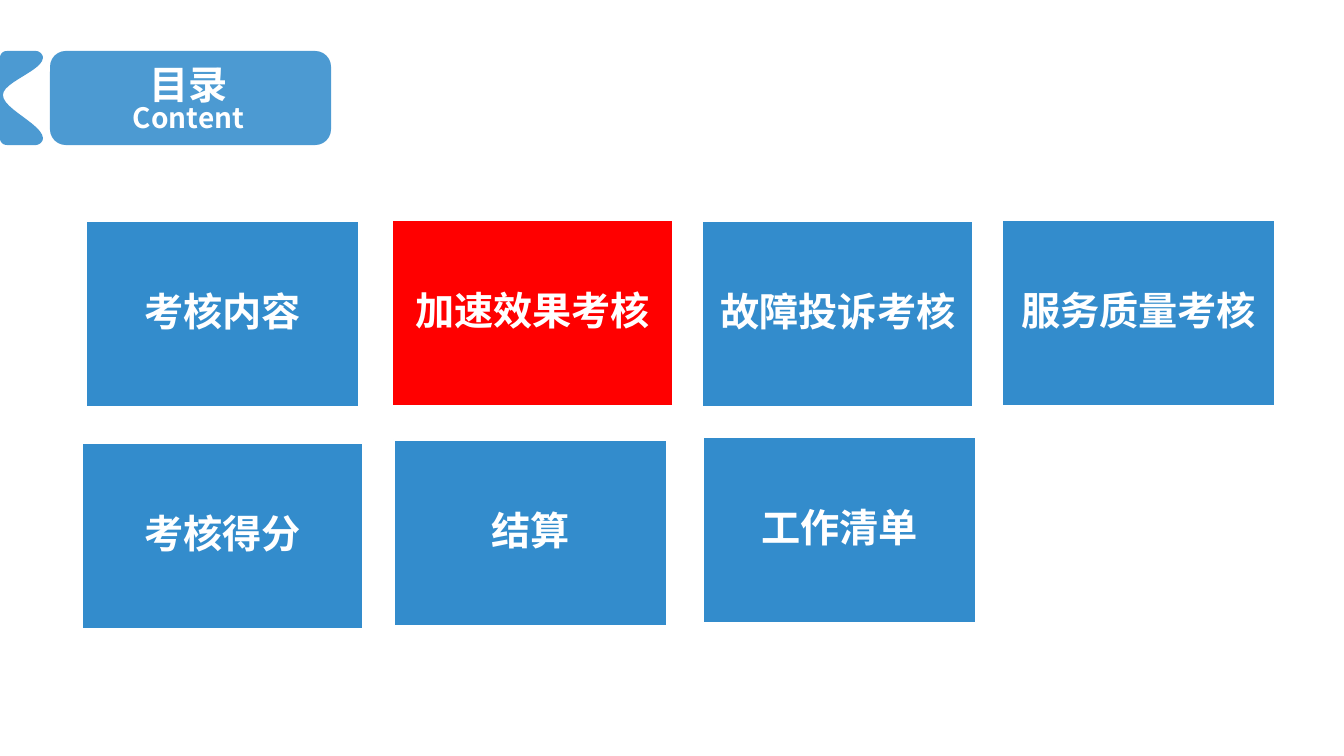
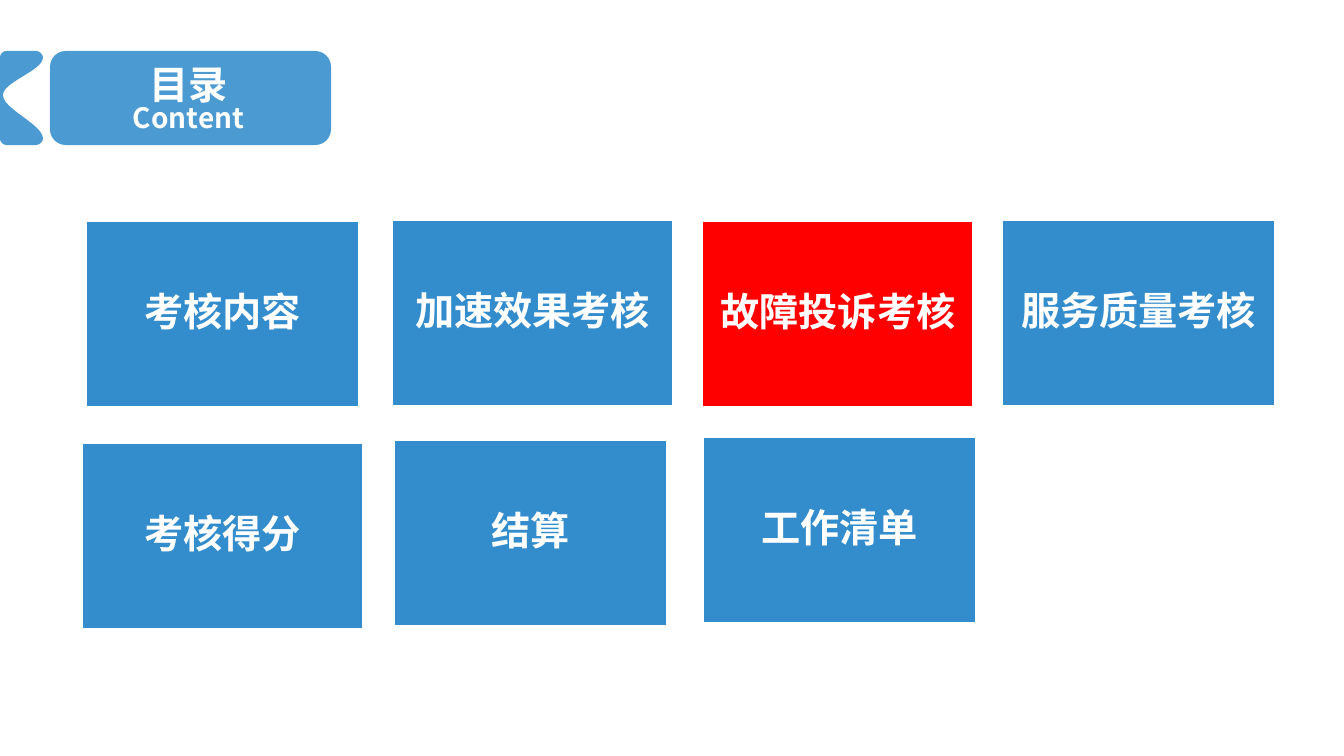
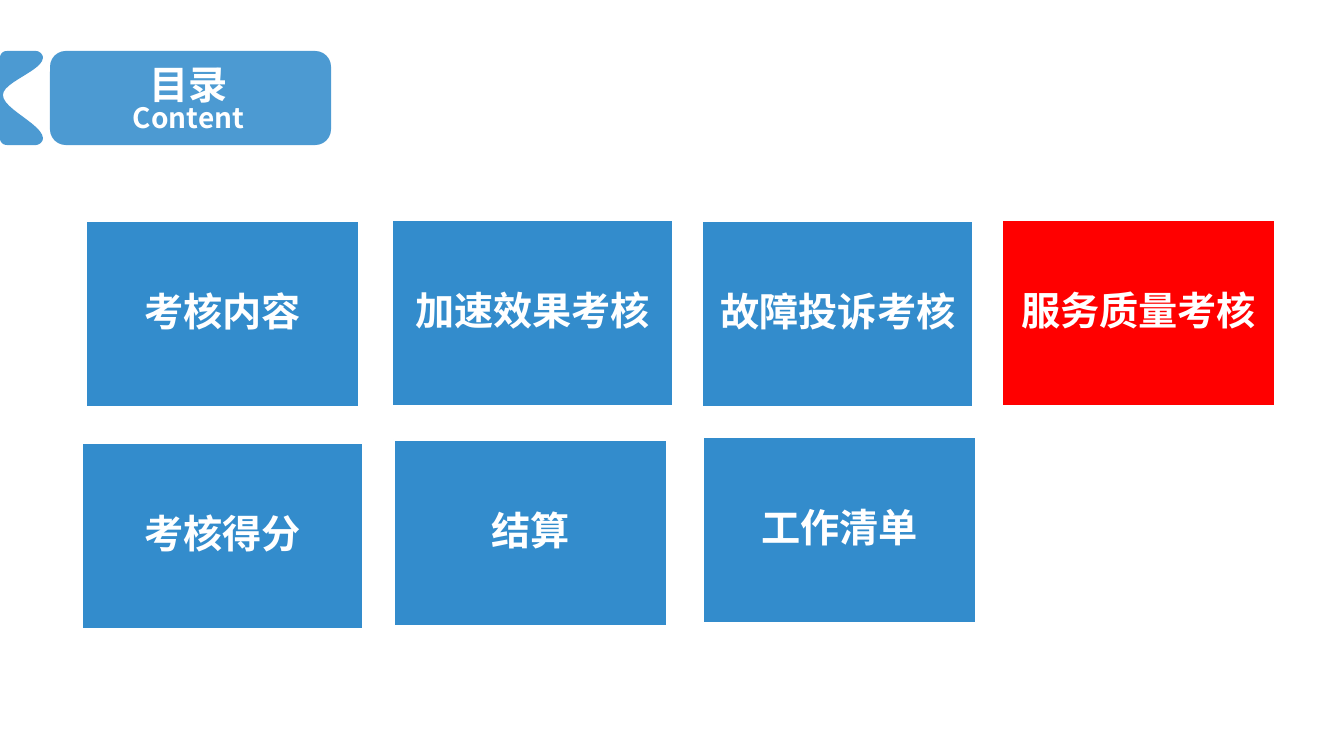
from lxml.etree import SubElement
from pptx import Presentation
from pptx.dml.color import RGBColor
from pptx.enum.shapes import MSO_SHAPE as Preset
from pptx.enum.text import MSO_ANCHOR as Anchor, PP_ALIGN as Align
from pptx.oxml.ns import qn
from pptx.util import Pt

SCALE = 914400 / 100.8
FONT = "Noto Sans CJK SC"
COLORS = {"blue": "0070C0", "red": "FF0000", "white": "FFFFFF"}

CARD_HEIGHT = 186
TOPICS = [  # text, left, top, width
    ("考核内容", 86, 221, 273),
    ("加速效果考核", 392, 220, 281),
    ("故障投诉考核", 702, 221, 272),
    ("服务质量考核", 1002, 220, 273),
    ("考核得分", 82, 443, 281),
    ("结算", 394, 440, 273),
    ("工作清单", 703, 437, 273),
]
CURRENT_TOPICS = ["加速效果考核", "故障投诉考核", "服务质量考核"]

# The ribbon end as cubic curves, joined by straight lines: start, two controls, end
RIBBON_CURVES = [
    ((7, 145), (3, 145), (0, 142), (0, 138)),
    ((0, 58), (0, 54), (3, 51), (7, 51)),
    ((36, 51), (39, 51), (43, 54), (43, 58)),
    ((43, 58), (42, 71), (3, 82), (3, 95)),
    ((3, 95), (3, 109), (42, 124), (43, 138)),
    ((43, 138), (43, 142), (39, 145), (36, 145)),
]


def emu(pixels):
    """Turn pixels into EMU."""
    return round(pixels * SCALE)


def curve_points(curve, steps=12):
    """Return points in EMU along a cubic curve."""
    points = []
    for step in range(steps + 1):
        t = step / steps
        weights = ((1 - t) ** 3, 3 * t * (1 - t) ** 2, 3 * t * t * (1 - t), t ** 3)
        points.append(tuple(emu(sum(w * p[axis] for w, p in zip(weights, curve)))
                            for axis in (0, 1)))
    return points


class Deck:
    """Holds the presentation, its style and the current slide."""

    def __init__(self):
        """Start an empty presentation."""
        self.show = Presentation()
        self.show.slide_width, self.show.slide_height = emu(1344), emu(756)
        self.slide = None

    def add_slide(self):
        """Add a blank slide and make it current."""
        self.slide = self.show.slides.add_slide(self.show.slide_layouts[6])

    def paint(self, shape, color, opacity=100, border=None):
        """Give a shape its fill and border, without shadow."""
        shape.shadow.inherit = False
        shape.fill.solid()
        shape.fill.fore_color.rgb = RGBColor.from_string(COLORS[color])
        if opacity < 100:
            tint = shape._element.spPr.find(f"{qn('a:solidFill')}/{qn('a:srgbClr')}")
            SubElement(tint, qn("a:alpha"), val=str(opacity * 1000))
        if border:
            shape.line.color.rgb = RGBColor.from_string(COLORS[border])
            shape.line.width = Pt(2)
        else:
            shape.line.fill.background()

    def set_text(self, shape, lines, spacing):
        """Set centred white bold lines, given as (text, size)."""
        frame = shape.text_frame
        frame.word_wrap = True
        frame.vertical_anchor = Anchor.MIDDLE
        for index, (text, size) in enumerate(lines):
            paragraph = frame.add_paragraph() if index else frame.paragraphs[0]
            paragraph.text = text
            paragraph.alignment = Align.CENTER
            paragraph.line_spacing = spacing
            font = paragraph.font
            font.size, font.bold, font.name = Pt(size), True, FONT
            font.color.rgb = RGBColor.from_string(COLORS["white"])
            for defaults in paragraph._p.iter(qn("a:defRPr")):
                SubElement(defaults, qn("a:ea"), typeface=FONT)

    def shape(self, preset, left, top, width, height):
        """Add a preset shape."""
        return self.slide.shapes.add_shape(
            preset, emu(left), emu(top), emu(width), emu(height))

    def banner(self, title, subtitle):
        """Draw the title plate, its ribbon end and the title."""
        plate = self.shape(Preset.FLOWCHART_ALTERNATE_PROCESS, 50, 51, 281, 94)
        self.paint(plate, "blue", 70)
        outline = [point for curve in RIBBON_CURVES for point in curve_points(curve)]
        builder = self.slide.shapes.build_freeform(*outline[0], scale=1.0)
        builder.add_line_segments(outline[1:], close=True)
        self.paint(builder.convert_to_shape(), "blue", 70)
        heading = self.slide.shapes.add_textbox(emu(52), emu(54), emu(273), emu(95))
        self.set_text(heading, [(title, 28), (subtitle, 20)], 0.8)

    def card(self, text, left, top, width, current):
        """Draw a topic card, red when it is the current topic."""
        card = self.shape(Preset.RECTANGLE, left, top, width, CARD_HEIGHT)
        if current:
            self.paint(card, "red", border="white")
        else:
            self.paint(card, "blue", 80, border="white")
        frame = card.text_frame
        frame.margin_left = frame.margin_right = emu(15)
        frame.margin_top = frame.margin_bottom = emu(15)
        self.set_text(card, [(text, 28)], 0.9)


deck = Deck()
for current_topic in CURRENT_TOPICS:
    deck.add_slide()
    deck.banner("目录", "Content")
    for topic, left, top, width in TOPICS:
        deck.card(topic, left, top, width, topic == current_topic)
deck.show.save("out.pptx")
